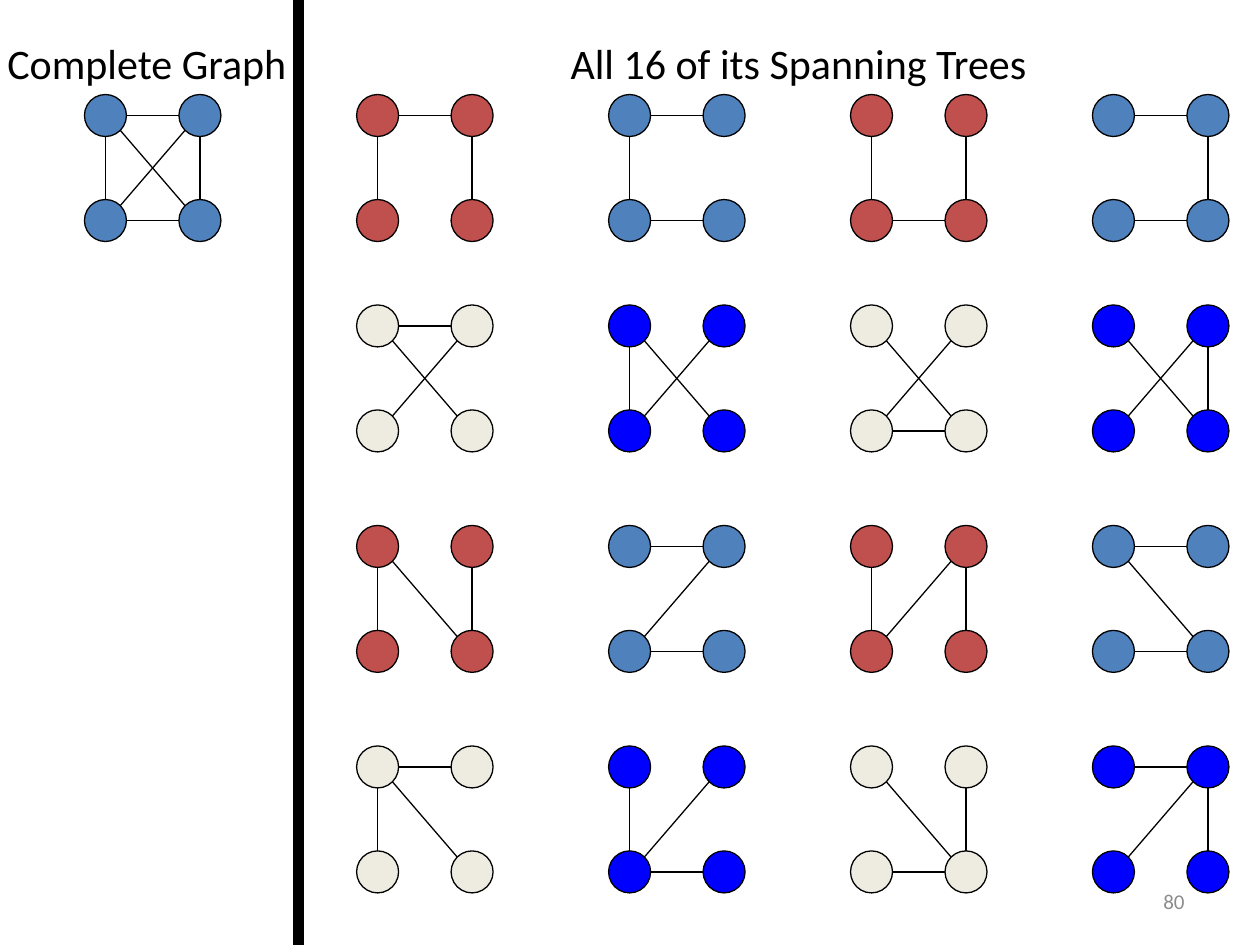
"""Build a slide showing a complete graph on four nodes and its 16 spanning trees."""
from math import sqrt

from lxml.etree import SubElement
from pptx import Presentation
from pptx.dml.color import RGBColor
from pptx.enum.shapes import MSO_CONNECTOR as Connector, MSO_SHAPE as Shape
from pptx.enum.text import MSO_ANCHOR as Anchor, PP_ALIGN as Align
from pptx.oxml.ns import qn
from pptx.util import Inches, Pt

BLACK = RGBColor(0x00, 0x00, 0x00)
GRAY = RGBColor(0x8C, 0x8C, 0x8C)
STEEL = RGBColor(0x4F, 0x81, 0xBD)
RED = RGBColor(0xC0, 0x50, 0x4D)
CREAM = RGBColor(0xEE, 0xEC, 0xE1)
BLUE = RGBColor(0x00, 0x00, 0xFF)

RADIUS = 1 / 6
CORNERS = {"a": (0, 0), "b": (0.75, 0), "c": (0, 5 / 6), "d": (0.75, 5 / 6)}
COLUMN_LEFTS = (2.83, 4.83, 6.75, 8.67)
SPANNING_TREES = (
    (0.75, (RED, STEEL), ("ab ac bd", "ab ac cd", "ac cd bd", "ab bd cd")),
    (2.42, (CREAM, BLUE), ("ab bc ad", "ac bc ad", "cd bc ad", "bd bc ad")),
    (4.17, (RED, STEEL), ("ac bd ad", "ab cd bc", "ac bd bc", "ab cd ad")),
    (5.92, (CREAM, BLUE), ("ab ac ad", "ac cd bc", "cd bd ad", "ab bd bc")),
)


def sign(value):
    return (value > 0) - (value < 0)


class GraphSlide:
    def __init__(self, slide, font="Calibri", line_width=0.75):
        self.slide = slide
        self.font = font
        self.line_width = Pt(line_width)

    def outline(self, element):
        element.line.color.rgb = BLACK
        element.line.width = self.line_width

    def solid(self, kind, left, top, width, height, color):
        solid = self.slide.shapes.add_shape(
            kind, Inches(left), Inches(top), Inches(width), Inches(height))
        solid.shadow.inherit = False
        solid.fill.solid()
        solid.fill.fore_color.rgb = color
        self.outline(solid)

    def edge(self, start, end):
        steps = [sign(last - first) for first, last in zip(start, end)]
        reach = RADIUS / sqrt(2) if all(steps) else RADIUS
        begin = [Inches(value + step * reach) for value, step in zip(start, steps)]
        finish = [Inches(value - step * reach) for value, step in zip(end, steps)]
        edge = self.slide.shapes.add_connector(Connector.STRAIGHT, *begin, *finish)
        self.outline(edge)
        SubElement(edge._element.spPr, qn("a:effectLst"))

    def graph(self, left, top, color, edges):
        centers = {}
        for name, (across, down) in CORNERS.items():
            self.solid(Shape.OVAL, left + across, top + down,
                       2 * RADIUS, 2 * RADIUS, color)
            centers[name] = (left + across + RADIUS, top + down + RADIUS)
        for first, last in edges.split():
            self.edge(centers[first], centers[last])

    def text(self, words, left, top, width, height, size=24, color=BLACK,
             align=Align.LEFT, anchor=Anchor.TOP):
        box = self.slide.shapes.add_textbox(
            Inches(left), Inches(top), Inches(width), Inches(height))
        frame = box.text_frame
        frame.word_wrap = True
        frame.vertical_anchor = anchor
        paragraph = frame.paragraphs[0]
        paragraph.alignment = align
        run = paragraph.add_run()
        run.text = words
        for attribute, value in {"name": self.font, "size": Pt(size)}.items():
            setattr(run.font, attribute, value)
        run.font.color.rgb = color


def main():
    deck = Presentation()
    deck.slide_width, deck.slide_height = Inches(10), Inches(7.5)
    page = GraphSlide(deck.slides.add_slide(deck.slide_layouts[6]))

    page.text("Complete Graph", -0.04, 0.25, 2.56, 0.5)
    page.graph(0.67, 0.75, STEEL, "ab ac cd bd bc ad")

    page.text("All 16 of its Spanning Trees", 4.43, 0.25, 4.03, 0.5)
    for top, colors, trees in SPANNING_TREES:
        for left, color, edges in zip(COLUMN_LEFTS, colors * 2, trees):
            page.graph(left, top, color, edges)

    page.solid(Shape.RECTANGLE, 2.33, 0, 0.08, 7.5, BLACK)
    page.text("80", 7.17, 6.95, 2.33, 0.4, size=12, color=GRAY,
              align=Align.RIGHT, anchor=Anchor.MIDDLE)
    deck.save("out.pptx")


if __name__ == "__main__":
    main()
